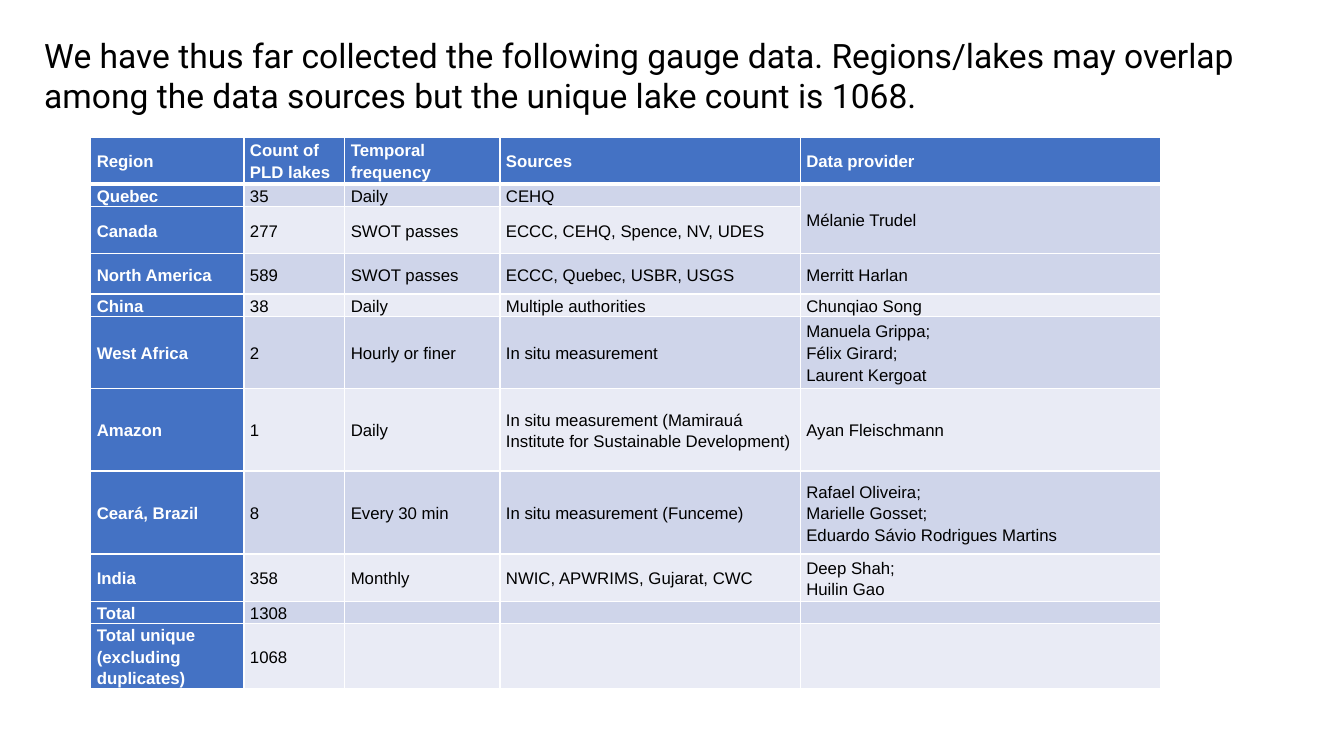
from dataclasses import dataclass

from lxml.etree import SubElement
from pptx import Presentation
from pptx.dml.color import RGBColor
from pptx.enum.text import MSO_ANCHOR, MSO_AUTO_SIZE, PP_ALIGN
from pptx.oxml.ns import qn
from pptx.util import Cm, Pt


@dataclass(frozen=True)
class Theme:
    accent: str = "4472C4"
    bands: tuple = ("CFD5EA", "E9EBF5")
    white: str = "FFFFFF"
    black: str = "000000"
    title_font: str = "Roboto"
    table_font: str = "Arial"
    title_size: int = 24
    table_size: int = 12
    thin_line: int = 1
    thick_line: int = 3


theme = Theme()


def add_border(cell, side, points):
    """Draw a white line on one side (L, R, T or B) of a table cell."""
    line = SubElement(cell._tc.get_or_add_tcPr(), qn(f"a:ln{side}"), w=str(Pt(points)))
    fill = SubElement(line, qn("a:solidFill"))
    SubElement(fill, qn("a:srgbClr"), val=theme.white)


deck = Presentation()
deck.slide_width, deck.slide_height = Cm(33.87), Cm(19.05)
page = deck.slides.add_slide(deck.slide_layouts[5])

title = page.shapes.title
title.left, title.top, title.width, title.height = Cm(0.86), Cm(0.74), Cm(30.96), Cm(2.31)
frame = title.text_frame
frame.text = (
    "We have thus far collected the following gauge data. Regions/lakes may overlap "
    "among the data sources but the unique lake count is 1068."
)
frame.word_wrap = True
frame.auto_size = MSO_AUTO_SIZE.NONE
frame.vertical_anchor = MSO_ANCHOR.MIDDLE
para = frame.paragraphs[0]
para.alignment = PP_ALIGN.LEFT
span = para.runs[0]
span.font.name = theme.title_font
span.font.size = Pt(theme.title_size)
span.font.color.rgb = RGBColor.from_string(theme.black)

column_widths = (3.86, 2.54, 3.91, 7.57, 9.07)
# Each row: height in centimetres, then the text of its cells
gauge_rows = (
    (1.19, "Region", "Count of PLD lakes", "Temporal frequency", "Sources", "Data provider"),
    (0.56, "Quebec", "35", "Daily", "CEHQ", "Mélanie Trudel"),
    (1.19, "Canada", "277", "SWOT passes", "ECCC, CEHQ, Spence, NV, UDES", ""),
    (1.02, "North America", "589", "SWOT passes", "ECCC, Quebec, USBR, USGS", "Merritt Harlan"),
    (0.56, "China", "38", "Daily", "Multiple authorities", "Chunqiao Song"),
    (1.81, "West Africa", "2", "Hourly or finer", "In situ measurement",
     "Manuela Grippa;\nFélix Girard;\nLaurent Kergoat"),
    (2.09, "Amazon", "1", "Daily",
     "In situ measurement (Mamirauá Institute for Sustainable Development)", "Ayan Fleischmann"),
    (2.09, "Ceará, Brazil", "8", "Every 30 min", "In situ measurement (Funceme)",
     "Rafael Oliveira;\nMarielle Gosset;\nEduardo Sávio Rodrigues Martins"),
    (1.19, "India", "358", "Monthly", "NWIC, APWRIMS, Gujarat, CWC", "Deep Shah;\nHuilin Gao"),
    (0.56, "Total", "1308", "", "", ""),
    (1.61, "Total unique (excluding duplicates)", "1068", "", "", ""),
)

table = page.shapes.add_table(
    len(gauge_rows), len(column_widths), Cm(2.29), Cm(3.45),
    Cm(sum(column_widths)), Cm(sum(row[0] for row in gauge_rows)),
).table
table.first_col = True
for column, width in zip(table.columns, column_widths):
    column.width = Cm(width)

for row_index, (height, *texts) in enumerate(gauge_rows):
    table.rows[row_index].height = Cm(height)
    for column_index, text in enumerate(texts):
        cell = table.cell(row_index, column_index)
        is_heading = row_index == 0 or column_index == 0
        fill_color = theme.accent if is_heading else theme.bands[(row_index - 1) % 2]
        text_color = theme.white if is_heading else theme.black

        for side in "LRTB":
            under_header = (row_index, side) in ((0, "B"), (1, "T"))
            add_border(cell, side, theme.thick_line if under_header else theme.thin_line)
        cell.fill.solid()
        cell.fill.fore_color.rgb = RGBColor.from_string(fill_color)
        cell.vertical_anchor = MSO_ANCHOR.MIDDLE
        cell.margin_left = cell.margin_right = Cm(0.15)
        cell.margin_top = cell.margin_bottom = 0

        cell.text_frame.text = text
        for para in cell.text_frame.paragraphs:
            para.line_spacing = 1.15
            for span in para.runs:
                span.font.name = theme.table_font
                span.font.size = Pt(theme.table_size)
                span.font.bold = is_heading
                span.font.color.rgb = RGBColor.from_string(text_color)
            # Keeps empty cells from stretching their row
            SubElement(para._p, qn("a:endParaRPr"), sz=str(theme.table_size * 100))

table.cell(1, 4).merge(table.cell(2, 4))

deck.save("out.pptx")
